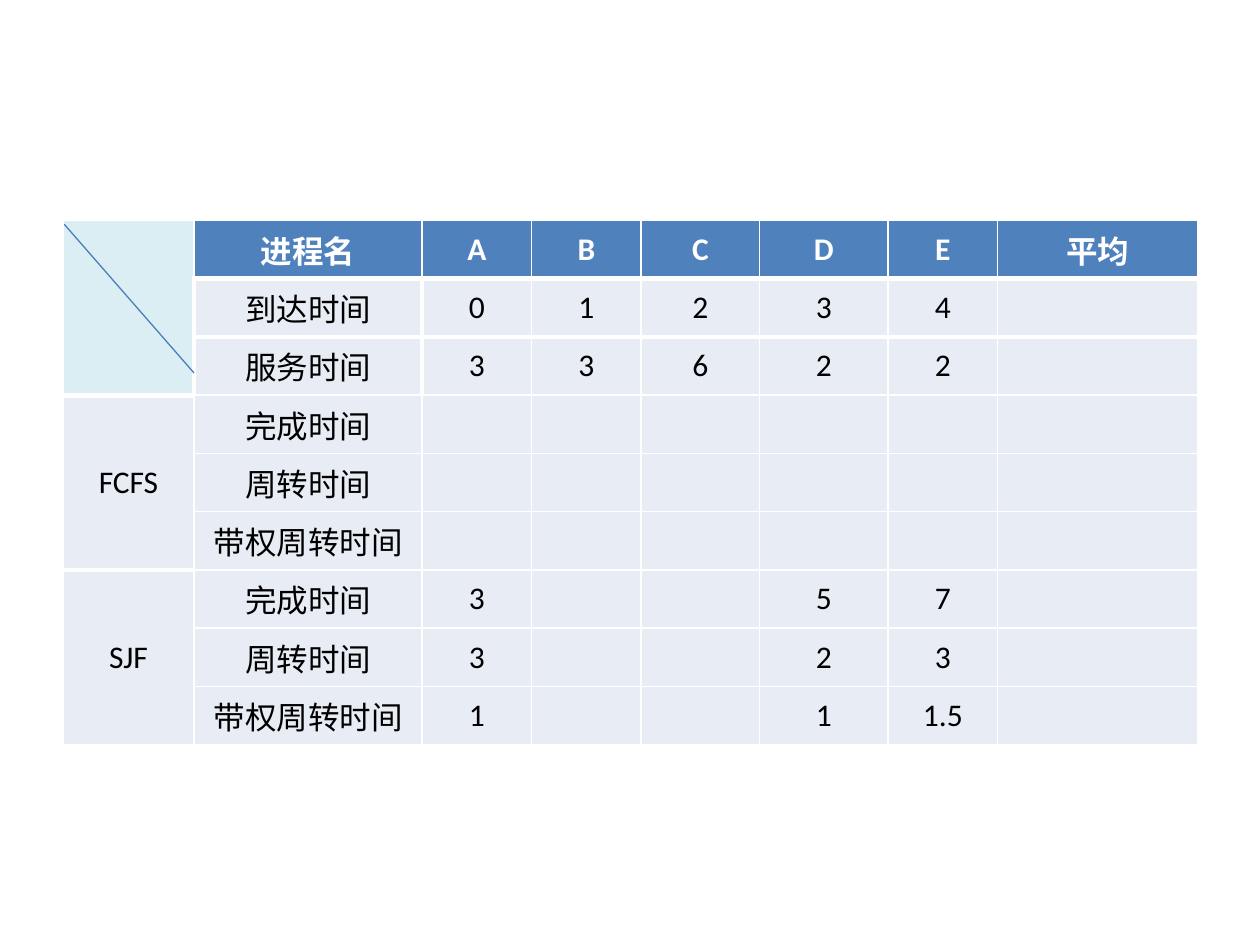
from dataclasses import dataclass

from lxml.etree import SubElement
from pptx import Presentation
from pptx.dml.color import RGBColor
from pptx.enum.shapes import MSO_CONNECTOR
from pptx.enum.text import MSO_ANCHOR, PP_ALIGN
from pptx.oxml.ns import qn
from pptx.util import Inches, Pt

WHITE = RGBColor(0xFF, 0xFF, 0xFF)
BLACK = RGBColor(0x00, 0x00, 0x00)
HEADER = RGBColor(0x4F, 0x81, 0xBD)
BODY = RGBColor(0xE8, 0xEC, 0xF4)
CORNER = RGBColor(0xDB, 0xEE, 0xF4)
DIAGONAL = RGBColor(0x4A, 0x7E, 0xBB)

COL_WIDTHS = (1.04, 1.81, 0.87, 0.87, 0.94, 1.02, 0.87, 1.59)
ROW_HEIGHT = 0.41
GROUP_ROWS = 3
THIN, THICK = Pt(1), Pt(3)
METRICS = ("完成时间", "周转时间", "带权周转时间")
BLANK = ("",) * 5


@dataclass(frozen=True)
class Row:
    label: str
    values: tuple[str, ...]
    group: str = ""
    average: str = ""

    def texts(self) -> tuple[str, ...]:
        return (self.group, self.label, *self.values, self.average)


def group_rows(group: str, values: list[tuple[str, ...]]) -> list[Row]:
    return [Row(label, vals, "" if i else group)
            for i, (label, vals) in enumerate(zip(METRICS, values))]


ROWS = [
    Row("进程名", tuple("ABCDE"), average="平均"),
    Row("到达时间", tuple("01234")),
    Row("服务时间", tuple("33622")),
    *group_rows("FCFS", [BLANK] * 3),
    *group_rows("SJF", [("3", "", "", "5", "7"),
                        ("3", "", "", "2", "3"),
                        ("1", "", "", "1", "1.5")]),
]


def border_widths(row: int, col: int) -> dict[str, int]:
    """Thick rules set off the header, the groups and the given times."""
    def rule_below(r: int) -> bool:
        return r in (2, 5) if col == 0 else r in (0, 1)

    def rule_right(c: int) -> bool:
        return row in (1, 2) and c in (0, 1)

    thick = {"a:lnL": rule_right(col - 1), "a:lnR": rule_right(col),
             "a:lnT": rule_below(row - 1), "a:lnB": rule_below(row)}
    return {tag: THICK if on else THIN for tag, on in thick.items()}


def set_borders(cell, row: int, col: int) -> None:
    props = cell._tc.get_or_add_tcPr()
    for i, (tag, width) in enumerate(border_widths(row, col).items()):
        ln = props.makeelement(qn(tag), {"w": str(int(width))})
        fill = SubElement(ln, qn("a:solidFill"))
        SubElement(fill, qn("a:srgbClr"), val=str(WHITE))
        props.insert(i, ln)


def fill_cell(cell, text: str, row: int, col: int) -> None:
    is_header = row == 0
    cell.fill.solid()
    in_corner = col == 0 and row < GROUP_ROWS
    cell.fill.fore_color.rgb = CORNER if in_corner else HEADER if is_header else BODY
    cell.vertical_anchor = MSO_ANCHOR.MIDDLE
    cell.margin_left = cell.margin_right = Inches(0.05)
    cell.margin_top = cell.margin_bottom = Inches(0.05)
    set_borders(cell, row, col)
    p = cell.text_frame.paragraphs[0]
    p.alignment = PP_ALIGN.CENTER
    p.font.size = Pt(18)
    if text:
        r = p.add_run()
        r.text = text
        r.font.size = Pt(18)
        r.font.bold = is_header
        r.font.name = "Calibri" if text.isascii() else "Roboto"
        r.font.color.rgb = WHITE if is_header else BLACK


prs = Presentation()
prs.slide_width, prs.slide_height = Inches(10), Inches(7.5)
s = prs.slides.add_slide(prs.slide_layouts[6])

# Scheduling table
table = s.shapes.add_table(
    len(ROWS), len(COL_WIDTHS), Inches(0.5), Inches(1.75),
    Inches(sum(COL_WIDTHS)), Inches(ROW_HEIGHT * len(ROWS))).table
for column, width in zip(table.columns, COL_WIDTHS):
    column.width = Inches(width)
for i, row in enumerate(ROWS):
    table.rows[i].height = Inches(ROW_HEIGHT)
    for j, text in enumerate(row.texts()):
        fill_cell(table.cell(i, j), text, i, j)
for top in range(0, len(ROWS), GROUP_ROWS):
    table.cell(top, 0).merge(table.cell(top + GROUP_ROWS - 1, 0))

# Diagonal of the corner cell
diagonal = s.shapes.add_connector(MSO_CONNECTOR.STRAIGHT, Inches(0.51),
                                  Inches(1.78), Inches(1.54), Inches(2.96))
diagonal.line.color.rgb = DIAGONAL
diagonal.line.width = Pt(0.75)
SubElement(diagonal._element.spPr, qn("a:effectLst"))

prs.save("out.pptx")
